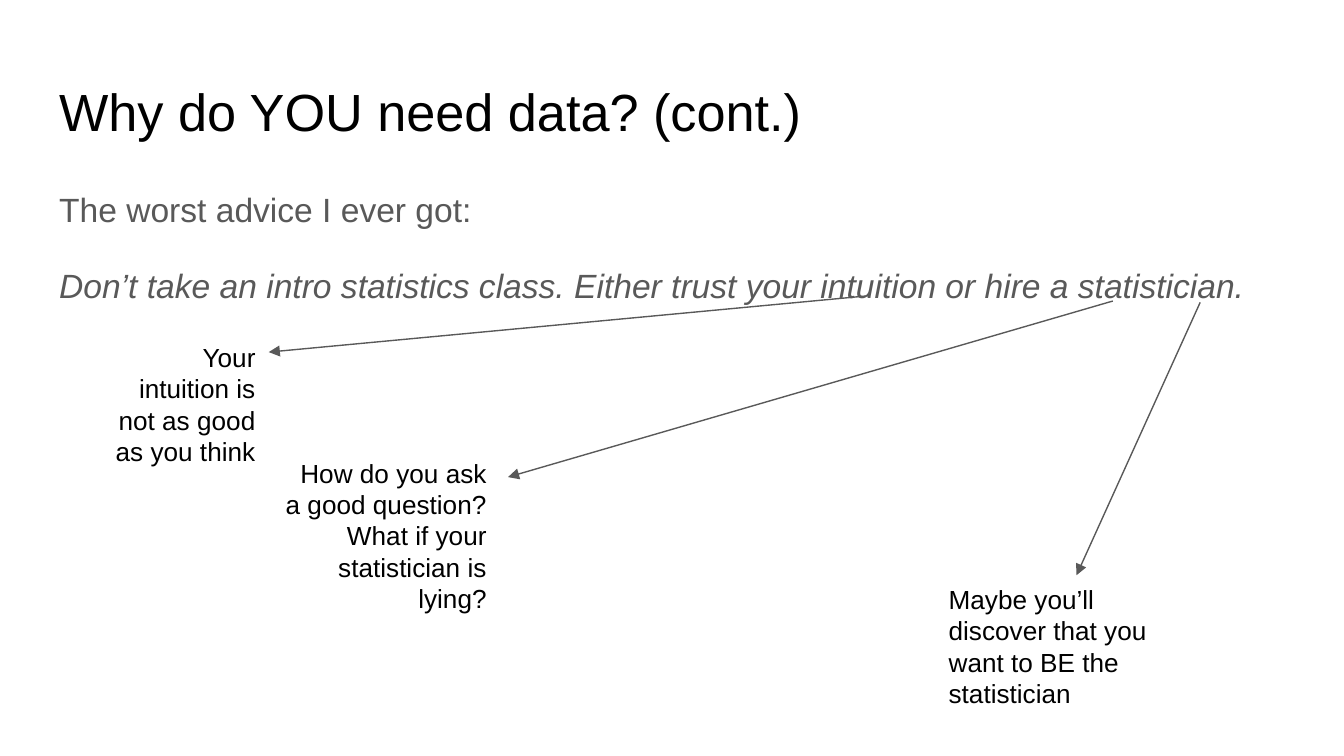
from lxml.etree import SubElement
from pptx import Presentation
from pptx.dml.color import RGBColor
from pptx.enum.shapes import MSO_CONNECTOR as Connector
from pptx.enum.text import MSO_ANCHOR as Anchor, MSO_AUTO_SIZE as AutoSize, PP_ALIGN as Align
from pptx.oxml.ns import qn
from pptx.util import Inches, Pt

WIDTH = 10
HEIGHT = WIDTH * 9 / 16
MARGIN = 0.34
BLACK, GRAY = "000000", "595959"

TITLE = "Why do YOU need data? (cont.)"
INTRO = "The worst advice I ever got:"
ADVICE = ("Don’t take an intro statistics class. "
          "Either trust your intuition or hire a statistician.")

# Remark, its box, its alignment, and the arrow's start and end
REMARKS = [
    ("Your intuition is not as good as you think",
     (0.7, 2.44, 1.3, 1.12), Align.RIGHT, (6.47, 2.2), (2, 2.62)),
    ("How do you ask a good question? What if your statistician is lying?",
     (2, 3.3, 1.72, 1.56), Align.RIGHT, (8.28, 2.24), (3.78, 3.55)),
    ("Maybe you’ll discover that you want to BE the statistician",
     (6.96, 4.24, 1.79, 0.98), Align.LEFT, (8.93, 2.25), (8.01, 4.28)),
]


def color(value):
    return RGBColor.from_string(value)


def set_attributes(target, values):
    for name, value in values.items():
        setattr(target, name, value)


def place(shape, box):
    names = ("left", "top", "width", "height")
    set_attributes(shape, dict(zip(names, map(Inches, box))))


def set_up_frame(frame):
    inset = Inches(0.1)
    set_attributes(frame, {
        "word_wrap": True, "auto_size": AutoSize.NONE, "vertical_anchor": Anchor.TOP,
        "margin_left": inset, "margin_right": inset,
        "margin_top": inset, "margin_bottom": inset,
    })


def write(paragraph, text, size, hue, italic=False, **layout):
    paragraph.text = text
    set_attributes(paragraph, {"space_before": Pt(0), "alignment": Align.LEFT, **layout})
    set_attributes(paragraph.font, {"name": "Arial", "size": Pt(size), "italic": italic})
    paragraph.font.color.rgb = color(hue)


def remove_bullet(paragraph):
    properties = paragraph._p.get_or_add_pPr()
    properties.set("marL", "0")
    properties.set("indent", "0")
    SubElement(properties, qn("a:buNone"))


def fill_title(title):
    place(title, (MARGIN, 0.49, WIDTH - 2 * MARGIN, 0.63))
    set_up_frame(title.text_frame)
    write(title.text_frame.paragraphs[0], TITLE, 28, BLACK)


def fill_body(body):
    place(body, (MARGIN, 1.26, WIDTH - 2 * MARGIN, 3.74))
    frame = body.text_frame
    set_up_frame(frame)
    intro, advice = frame.paragraphs[0], frame.add_paragraph()
    for paragraph in (intro, advice):
        remove_bullet(paragraph)
    write(intro, INTRO, 18, GRAY, line_spacing=1.15)
    write(advice, ADVICE, 18, GRAY, italic=True, line_spacing=1.15,
          space_before=Pt(16), space_after=Pt(16))


def add_arrow(slide, start, end):
    arrow = slide.shapes.add_connector(
        Connector.STRAIGHT, *map(Inches, (*start, *end)))
    arrow.line.width = Pt(0.75)
    arrow.line.color.rgb = color(GRAY)
    SubElement(arrow.line._get_or_add_ln(), qn("a:tailEnd"), type="triangle")
    SubElement(arrow._element.spPr, qn("a:effectLst"))


def add_remark(slide, text, box, alignment):
    remark = slide.shapes.add_textbox(*map(Inches, box))
    set_up_frame(remark.text_frame)
    write(remark.text_frame.paragraphs[0], text, 14, BLACK, alignment=alignment)


def main():
    deck = Presentation()
    deck.slide_width, deck.slide_height = Inches(WIDTH), Inches(HEIGHT)
    slide = deck.slides.add_slide(deck.slide_layouts[1])
    fill_title(slide.shapes.title)
    fill_body(slide.placeholders[1])
    for _, _, _, start, end in REMARKS:
        add_arrow(slide, start, end)
    for text, box, alignment, _, _ in REMARKS:
        add_remark(slide, text, box, alignment)
    deck.save("out.pptx")


if __name__ == "__main__":
    main()
